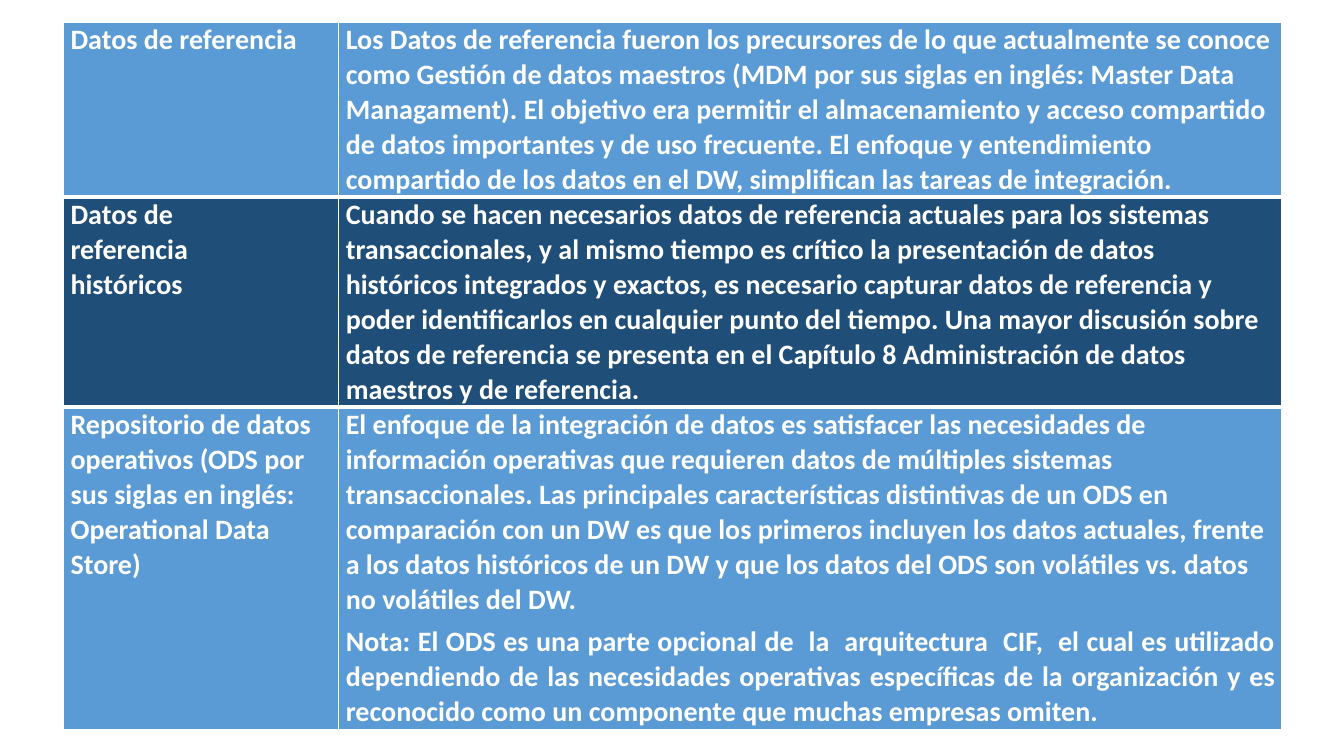
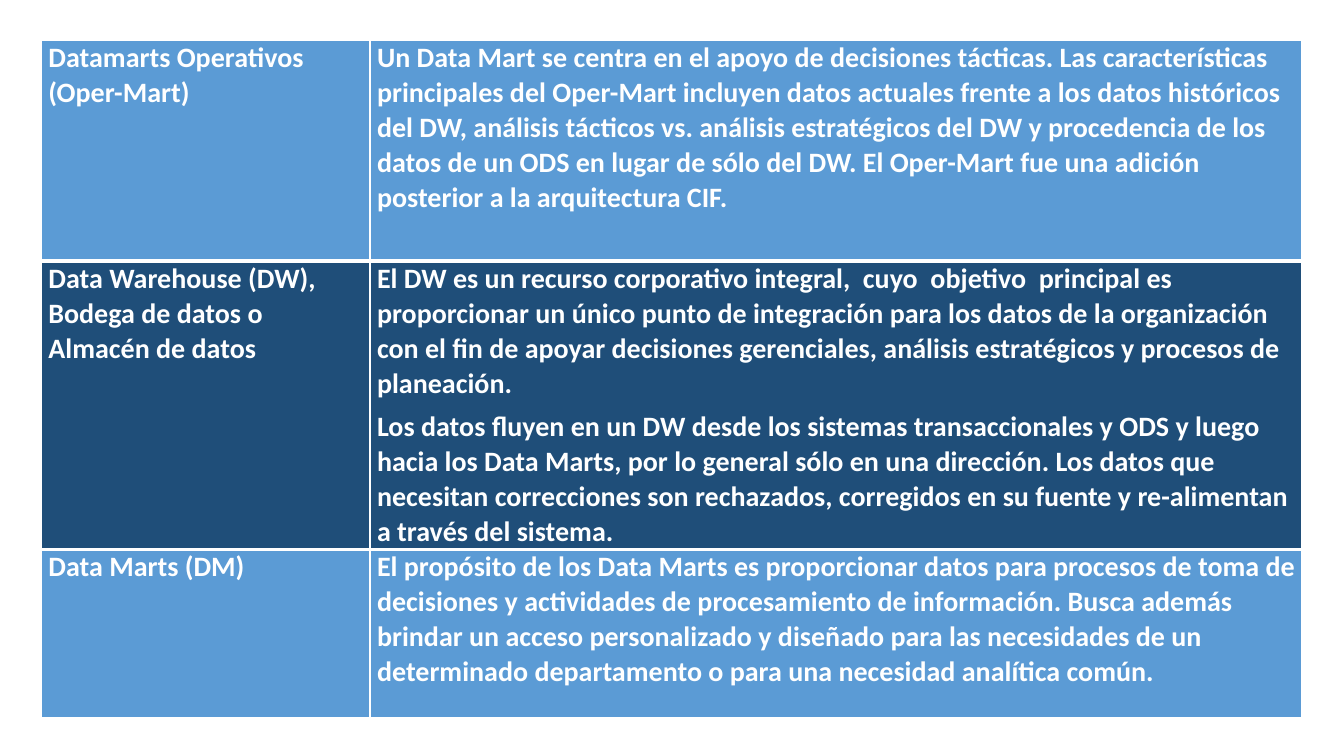
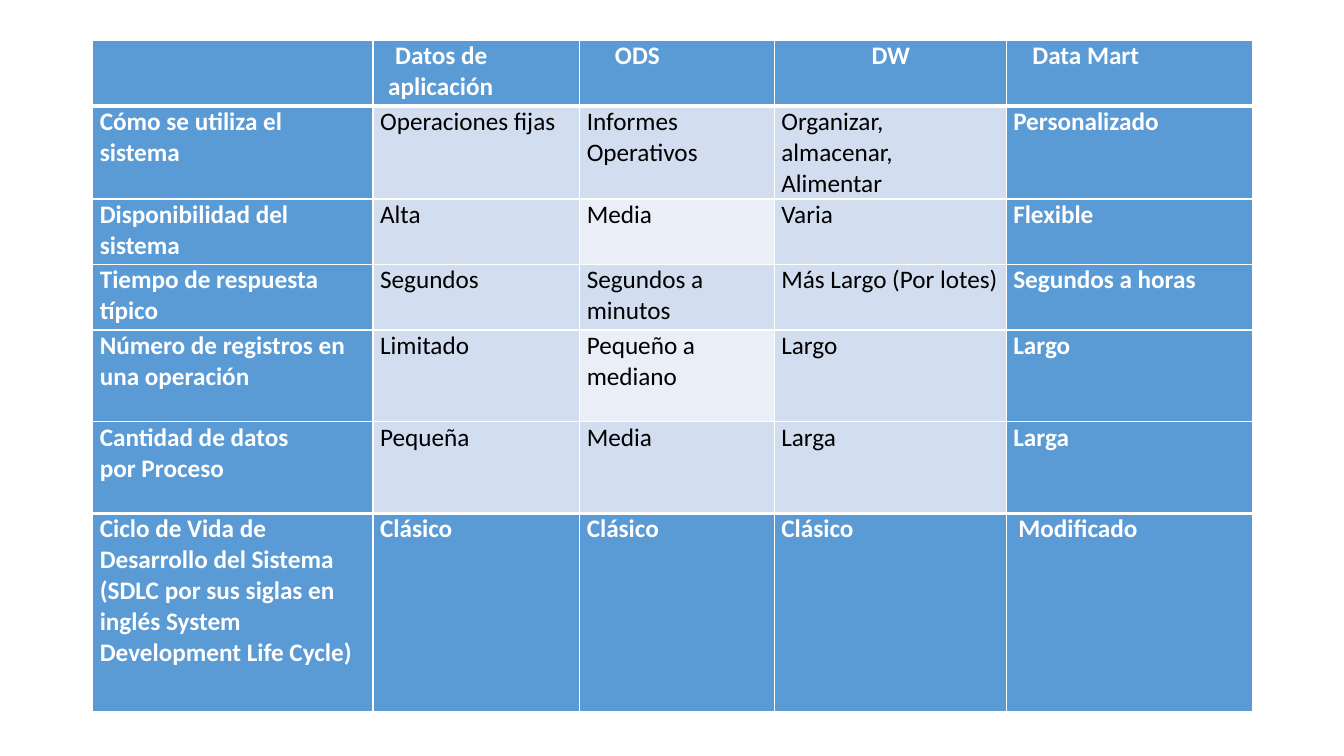
from dataclasses import dataclass

from lxml.etree import SubElement
from pptx import Presentation
from pptx.dml.color import RGBColor
from pptx.enum.text import PP_ALIGN
from pptx.oxml.ns import qn
from pptx.util import Inches, Pt

WHITE, BLACK = "FFFFFF", "000000"
BLUE, NAVY = "5B9BD5", "1F4E79"
PALE, PALEST = "D2DEEF", "EAEFF7"


def color(value):
    return RGBColor.from_string(value)


@dataclass
class Paragraph:
    text: str
    left: float = 0.07
    right: float = 0.06
    first: float = 0
    before: float = 0.3
    align: PP_ALIGN = PP_ALIGN.LEFT


@dataclass
class CellStyle:
    fill: str = BLUE
    font_color: str = WHITE
    bold: bool = True


class Deck:
    """Shared style and the slide being built."""

    font = "Calibri"
    thin, thick = 1, 3

    def __init__(self):
        self.presentation = Presentation()
        self.presentation.slide_width = Inches(13.33)
        self.presentation.slide_height = Inches(7.5)
        self.slide = None

    def add_slide(self):
        self.slide = self.presentation.slides.add_slide(
            self.presentation.slide_layouts[6])

    def add_table(self, left, top, widths, heights, rows, style_for, size, line_spacing):
        frame = self.slide.shapes.add_table(
            len(rows), len(widths), Inches(left), Inches(top),
            Inches(sum(widths)), Inches(sum(heights)))
        table = frame.table
        table.first_row = table.horz_banding = False
        for column, width in zip(table.columns, widths):
            column.width = Inches(width)
        last = len(rows) - 1
        for row_index, (height, contents) in enumerate(zip(heights, rows)):
            table.rows[row_index].height = Inches(height)
            # Thick rules set off the first and the last row
            top_line = self.thick if row_index in (1, last) else self.thin
            bottom_line = self.thick if row_index in (0, last - 1) else self.thin
            for column_index, content in enumerate(contents):
                cell = table.cell(row_index, column_index)
                style = style_for(row_index, column_index)
                self.write_cell(cell, content, style, size, line_spacing)
                self.add_borders(cell, top_line, bottom_line)
                cell.fill.solid()
                cell.fill.fore_color.rgb = color(style.fill)

    def write_cell(self, cell, content, style, size, line_spacing):
        cell.margin_left = cell.margin_right = 0
        cell.margin_top = cell.margin_bottom = 0
        items = content if isinstance(content, list) else [content]
        for index, item in enumerate(items):
            if not item:
                continue
            if isinstance(item, str):
                item = Paragraph(item)
            frame = cell.text_frame
            paragraph = frame.add_paragraph() if index else frame.paragraphs[0]
            paragraph.alignment = item.align
            paragraph.line_spacing = line_spacing
            paragraph.space_before = Pt(item.before)
            properties = paragraph._p.get_or_add_pPr()
            for name, length in (("marL", item.left), ("marR", item.right),
                                 ("indent", item.first)):
                properties.set(name, str(Inches(length)))
            run = paragraph.add_run()
            run.text = item.text
            run.font.name = self.font
            run.font.size = Pt(size)
            run.font.bold = style.bold
            run.font.color.rgb = color(style.font_color)

    def add_borders(self, cell, top_line, bottom_line):
        properties = cell._tc.get_or_add_tcPr()
        for side, width in (("L", self.thin), ("R", self.thin),
                            ("T", top_line), ("B", bottom_line)):
            line = SubElement(properties, qn(f"a:ln{side}"), w=str(Pt(width)))
            fill = SubElement(line, qn("a:solidFill"))
            SubElement(fill, qn("a:srgbClr"), val=WHITE)


def component_style(row, column):
    return CellStyle(NAVY if row % 2 else BLUE)


def comparison_style(row, column):
    if row in (0, 6) or column in (0, 4):
        return CellStyle()
    fill = PALEST if column == 2 and row % 2 == 0 else PALE
    return CellStyle(fill, BLACK, False)


def label(text, right=0.15):
    return Paragraph(text, right=right)


REFERENCE_ROWS = [
    ["Datos de referencia",
     "Los Datos de referencia fueron los precursores de lo que actualmente se conoce "
     "como Gestión de datos maestros (MDM por sus siglas en inglés: Master Data "
     "Managament). El objetivo era permitir el almacenamiento y acceso compartido de "
     "datos importantes y de uso frecuente. El enfoque y entendimiento compartido de "
     "los datos en el DW, simplifican las tareas de integración."],
    [label("Datos de referencia históricos", 0.8),
     Paragraph(
         "Cuando se hacen necesarios datos de referencia actuales para los sistemas "
         "transaccionales, y al mismo tiempo es crítico la presentación de datos "
         "históricos integrados y exactos, es necesario capturar datos de referencia y "
         "poder identificarlos en cualquier punto del tiempo. Una mayor discusión sobre "
         "datos de referencia se presenta en el Capítulo 8 Administración de datos "
         "maestros y de referencia.", right=0.15)],
    ["Repositorio de datos operativos (ODS por sus siglas en inglés: Operational Data Store)",
     ["El enfoque de la integración de datos es satisfacer las necesidades de "
      "información operativas que requieren datos de múltiples sistemas "
      "transaccionales. Las principales características distintivas de un ODS en "
      "comparación con un DW es que los primeros incluyen los datos actuales, frente a "
      "los datos históricos de un DW y que los datos del ODS son volátiles vs. datos no "
      "volátiles del DW.",
      Paragraph(
          "Nota: El ODS es una parte opcional de  la  arquitectura  CIF,  el cual es "
          "utilizado dependiendo de las necesidades operativas específicas de la "
          "organización y es reconocido como un componente que muchas empresas omiten.",
          before=5.6, align=PP_ALIGN.JUSTIFY)]],
]

WAREHOUSE_ROWS = [
    ["Datamarts Operativos (Oper-Mart)",
     "Un Data Mart se centra en el apoyo de decisiones tácticas. Las características "
     "principales del Oper-Mart incluyen datos actuales frente a los datos históricos "
     "del DW, análisis tácticos vs. análisis estratégicos del DW y procedencia de los "
     "datos de un ODS en lugar de sólo del DW. El Oper-Mart fue una adición posterior a "
     "la arquitectura CIF."],
    [label("Data Warehouse (DW), Bodega de datos o Almacén de datos", 0.3),
     ["El DW es un recurso corporativo integral,  cuyo  objetivo  principal es "
      "proporcionar un único punto de integración para los datos de la organización con "
      "el fin de apoyar decisiones gerenciales, análisis estratégicos y procesos de "
      "planeación.",
      Paragraph(
          "Los datos fluyen en un DW desde los sistemas transaccionales y ODS y luego "
          "hacia los Data Marts, por lo general sólo en una dirección. Los datos que "
          "necesitan correcciones son rechazados, corregidos en su fuente y "
          "re-alimentan a través del sistema.", before=6.2)]],
    ["Data Marts (DM)",
     "El propósito de los Data Marts es proporcionar datos para procesos de toma de "
     "decisiones y actividades de procesamiento de información. Busca además brindar un "
     "acceso personalizado y diseñado para las necesidades de un determinado "
     "departamento o para una necesidad analítica común."],
]

COMPARISON_ROWS = [
    ["", Paragraph("Datos de aplicación", left=0.15, first=0.07),
     Paragraph("ODS", left=0.35), Paragraph("DW", align=PP_ALIGN.CENTER),
     Paragraph("Data Mart", left=0.26)],
    [label("Cómo se utiliza el sistema"), "Operaciones fijas", "Informes Operativos",
     Paragraph("Organizar, almacenar, Alimentar", right=0.3, align=PP_ALIGN.JUSTIFY),
     "Personalizado"],
    [label("Disponibilidad del sistema"), "Alta", "Media", "Varia", "Flexible"],
    [label("Tiempo de respuesta típico"), "Segundos", "Segundos a minutos",
     "Más Largo (Por lotes)", "Segundos a horas"],
    [label("Número de registros en una operación"), "Limitado", "Pequeño a mediano",
     "Largo", "Largo"],
    [label("Cantidad de datos por Proceso", 0.6), "Pequeña", "Media", "Larga", "Larga"],
    [label("Ciclo de Vida de Desarrollo del Sistema (SDLC por sus siglas en inglés "
           "System Development Life Cycle)"),
     "Clásico", "Clásico", "Clásico", Paragraph("Modificado", left=0.12)],
]


def main():
    deck = Deck()

    # Reference data and operational store
    deck.add_slide()
    deck.add_table(0.63, 0.22, [2.73, 9.35], [1.72, 2.07, 3.05],
                   REFERENCE_ROWS, component_style, 20, 1.02)

    # Warehouse and data marts
    deck.add_slide()
    deck.add_table(0.41, 0.4, [3.26, 9.24], [2.19, 2.78, 1.67],
                   WAREHOUSE_ROWS, component_style, 20, 1.02)

    # Comparison of the components
    deck.add_slide()
    deck.add_table(0.92, 0.4, [2.78, 2.05, 1.93, 2.3, 2.44],
                   [0.65, 0.91, 0.65, 0.65, 0.91, 0.91, 1.97],
                   COMPARISON_ROWS, comparison_style, 18, 1.01)

    deck.presentation.save("out.pptx")


if __name__ == "__main__":
    main()
